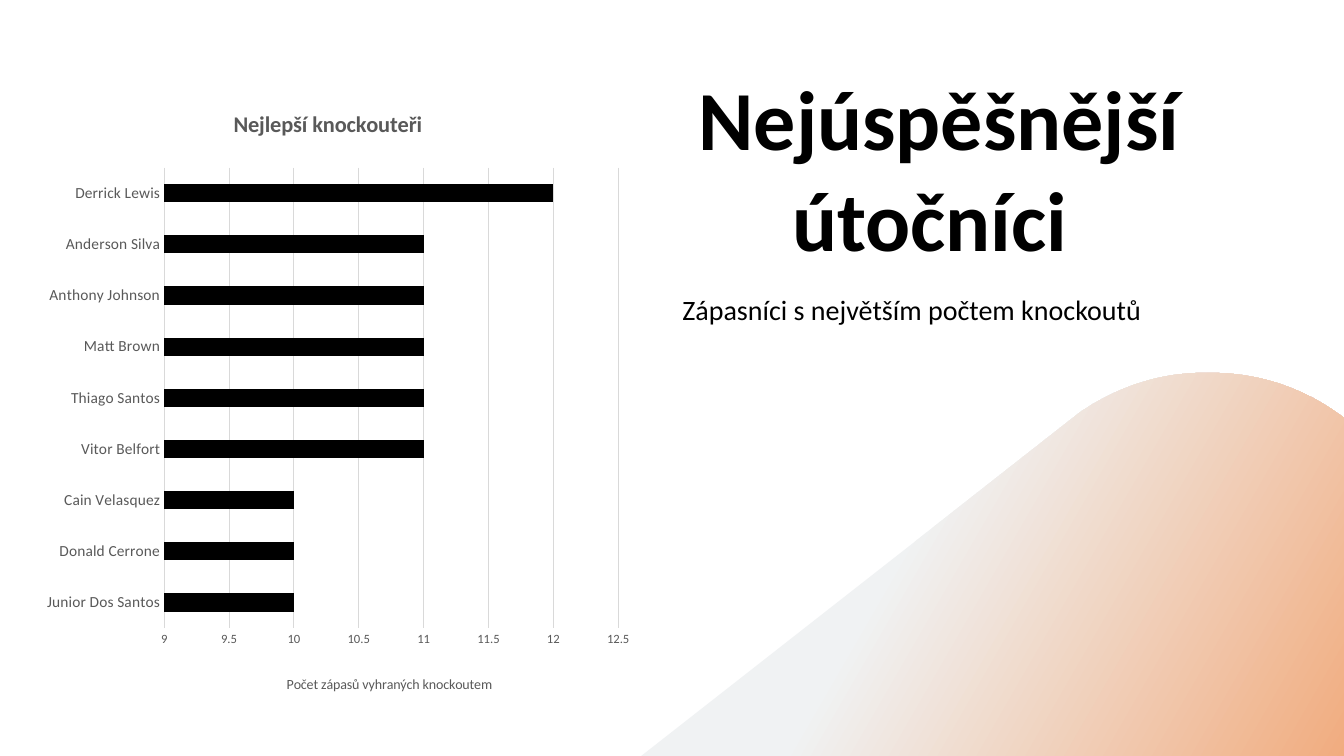
import pptx
import pptx.chart.data
import pptx.dml.color
import pptx.enum.chart
import pptx.enum.text
import pptx.oxml
import pptx.oxml.ns
import pptx.util
from dataclasses import dataclass

Inches = pptx.util.Inches
qn = pptx.oxml.ns.qn


@dataclass(frozen=True)
class Theme:
    font: str = "Calibri"
    white: str = "FFFFFF"
    black: str = "000000"
    muted: str = "595959"
    grid: str = "D9D9D9"
    mist: str = "F0F2F3"
    peach: str = "F1AC7F"
    title_size: float = 60
    subtitle_size: float = 20
    chart_title_size: float = 16
    category_size: float = 11
    axis_title_size: float = 10
    value_size: float = 9


def rgb(color):
    return pptx.dml.color.RGBColor.from_string(color)


def apply(target, values):
    for name, value in values.items():
        setattr(target, name, value)


def bezier(start, control_1, control_2, end, steps=40):
    """Points along a cubic curve, without its start."""
    for step in range(1, steps + 1):
        t = step / steps
        weights = ((1 - t) ** 3, 3 * t * (1 - t) ** 2, 3 * t * t * (1 - t), t ** 3)
        corners = (start, control_1, control_2, end)
        yield tuple(sum(w * p[axis] for w, p in zip(weights, corners)) for axis in (0, 1))


def place(parent, before, **position):
    """Give a chart part a fixed layout, as fractions of the chart area."""
    for layout in parent.findall(qn("c:layout")):
        parent.remove(layout)
    target = '<c:layoutTarget val="inner"/>' if "w" in position else ""
    modes = "".join(f'<c:{axis}Mode val="edge"/>' for axis in "xy")
    values = "".join(f'<c:{key} val="{value}"/>' for key, value in position.items())
    layout = pptx.oxml.parse_xml(
        f'<c:layout {pptx.oxml.ns.nsdecls("c")}><c:manualLayout>'
        f"{target}{modes}{values}</c:manualLayout></c:layout>")
    index = 0 if before is None else parent.index(parent.find(qn(before))) + 1
    parent.insert(index, layout)


class SlideBuilder:
    def __init__(self, slide, theme):
        self.slide = slide
        self.theme = theme
        fill = slide.background.fill
        fill.solid()
        fill.fore_color.rgb = rgb(theme.white)

    def style_font(self, font, size, color, bold=False):
        apply(font, {"name": self.theme.font, "size": pptx.util.Pt(size), "bold": bold})
        font.color.rgb = rgb(color)

    def text(self, text, box, size, bold=False, frame_format=None, paragraph_format=None):
        shape = self.slide.shapes.add_textbox(*map(Inches, box))
        frame = shape.text_frame
        apply(frame, {"word_wrap": True, **(frame_format or {})})
        paragraph = frame.paragraphs[0]
        apply(paragraph, paragraph_format or {})
        run = paragraph.add_run()
        run.text = text
        self.style_font(run.font, size, self.theme.black, bold)

    def gradient_outline(self, points, stops, angle):
        builder = self.slide.shapes.build_freeform(
            *(round(value * 1000) for value in points[0]), scale=Inches(1) / 1000)
        builder.add_line_segments(
            [(round(x * 1000), round(y * 1000)) for x, y in points[1:]], close=True)
        shape = builder.convert_to_shape()
        shape.shadow.inherit = False
        shape.line.fill.background()
        shape.fill.gradient()
        shape.fill.gradient_angle = angle
        for stop, (position, color) in zip(shape.fill.gradient_stops, stops):
            stop.position = position
            stop.color.rgb = rgb(color)

    def chart_label(self, title, text, size, bold, x, y):
        title.text_frame.text = text
        run = title.text_frame.paragraphs[0].runs[0]
        self.style_font(run.font, size, self.theme.muted, bold)
        place(title.element, "c:tx", x=x, y=y)

    def thin_line(self, line):
        line.color.rgb = rgb(self.theme.grid)
        line.width = pptx.util.Pt(0.75)

    def bar_chart(self, box, values, title, axis_title):
        theme = self.theme
        data = pptx.chart.data.CategoryChartData()
        data.categories = list(values)
        data.add_series("Series 1", list(values.values()))
        chart = self.slide.shapes.add_chart(
            pptx.enum.chart.XL_CHART_TYPE.BAR_CLUSTERED, *map(Inches, box), data).chart
        self.style_font(chart.font, theme.axis_title_size, theme.black)
        apply(chart, {"has_legend": False, "has_title": True})
        self.chart_label(chart.chart_title, title, theme.chart_title_size, True, 0.32, 0.01)

        # Bars
        plot = chart.plots[0]
        apply(plot, {"gap_width": 182, "vary_by_categories": False})
        fill = plot.series[0].format.fill
        fill.solid()
        fill.fore_color.rgb = rgb(theme.black)

        # Axes
        category_axis, value_axis = chart.category_axis, chart.value_axis
        no_tick = pptx.enum.chart.XL_TICK_MARK.NONE
        for axis, size in ((category_axis, theme.category_size), (value_axis, theme.value_size)):
            apply(axis, {"major_tick_mark": no_tick, "minor_tick_mark": no_tick})
            self.style_font(axis.tick_labels.font, size, theme.muted)
        category_axis.has_major_gridlines = False
        self.thin_line(category_axis.format.line)
        apply(value_axis, {"minimum_scale": 9, "maximum_scale": 12.5, "major_unit": 0.5,
                           "has_major_gridlines": True, "has_title": True})
        self.thin_line(value_axis.major_gridlines.format.line)
        value_axis.format.line.fill.background()
        self.chart_label(value_axis.axis_title, axis_title, theme.axis_title_size,
                         False, 0.41, 0.95)
        plot_area = chart.element.find(".//" + qn("c:plotArea"))
        place(plot_area, None, x=0.2125, y=0.114, w=0.748, h=0.763)


def main():
    presentation = pptx.Presentation()
    apply(presentation, {"slide_width": Inches(13.33), "slide_height": Inches(7.5)})
    theme = Theme()
    builder = SlideBuilder(presentation.slides.add_slide(presentation.slide_layouts[6]), theme)

    # Title and subtitle
    builder.text("Nejúspěšnější útočníci ", (5.52, 0.37, 7.59, 2.29), theme.title_size, True,
                 {"vertical_anchor": pptx.enum.text.MSO_ANCHOR.BOTTOM, "margin_bottom": 0},
                 {"alignment": pptx.enum.text.PP_ALIGN.CENTER})
    builder.text("Zápasníci s největším počtem knockoutů", (6.67, 2.79, 5.83, 0.48),
                 theme.subtitle_size,
                 paragraph_format={"line_spacing": 1.2, "space_before": pptx.util.Pt(10)})

    # Rounded slope in the lower right corner
    crest, right, left = (12.02, 3.7), (13.36, 4.17), (10.7, 4.1)
    shoulder = (11.89, 3.7)
    slope = [crest, *bezier(crest, (12.5, 3.7), (12.97, 3.86), right),
             (13.36, 7.5), (6.36, 7.5), (10.65, 4.14), left,
             *bezier(left, (11.06, 3.85), (11.47, 3.71), shoulder)]
    builder.gradient_outline(slope, [(0.39, theme.mist), (1, theme.peach)], angle=330)

    # Knockout chart, listed from the bottom bar up
    knockouts = {
        "Junior Dos Santos": 10, "Donald Cerrone": 10, "Cain Velasquez": 10,
        "Vitor Belfort": 11, "Thiago Santos": 11, "Matt Brown": 11,
        "Anthony Johnson": 11, "Anderson Silva": 11, "Derrick Lewis": 12,
    }
    builder.bar_chart((0.35, 0.98, 6.02, 5.99), knockouts,
                      "Nejlepší knockouteři", "Počet zápasů vyhraných knockoutem")

    presentation.save("out.pptx")


if __name__ == "__main__":
    main()
